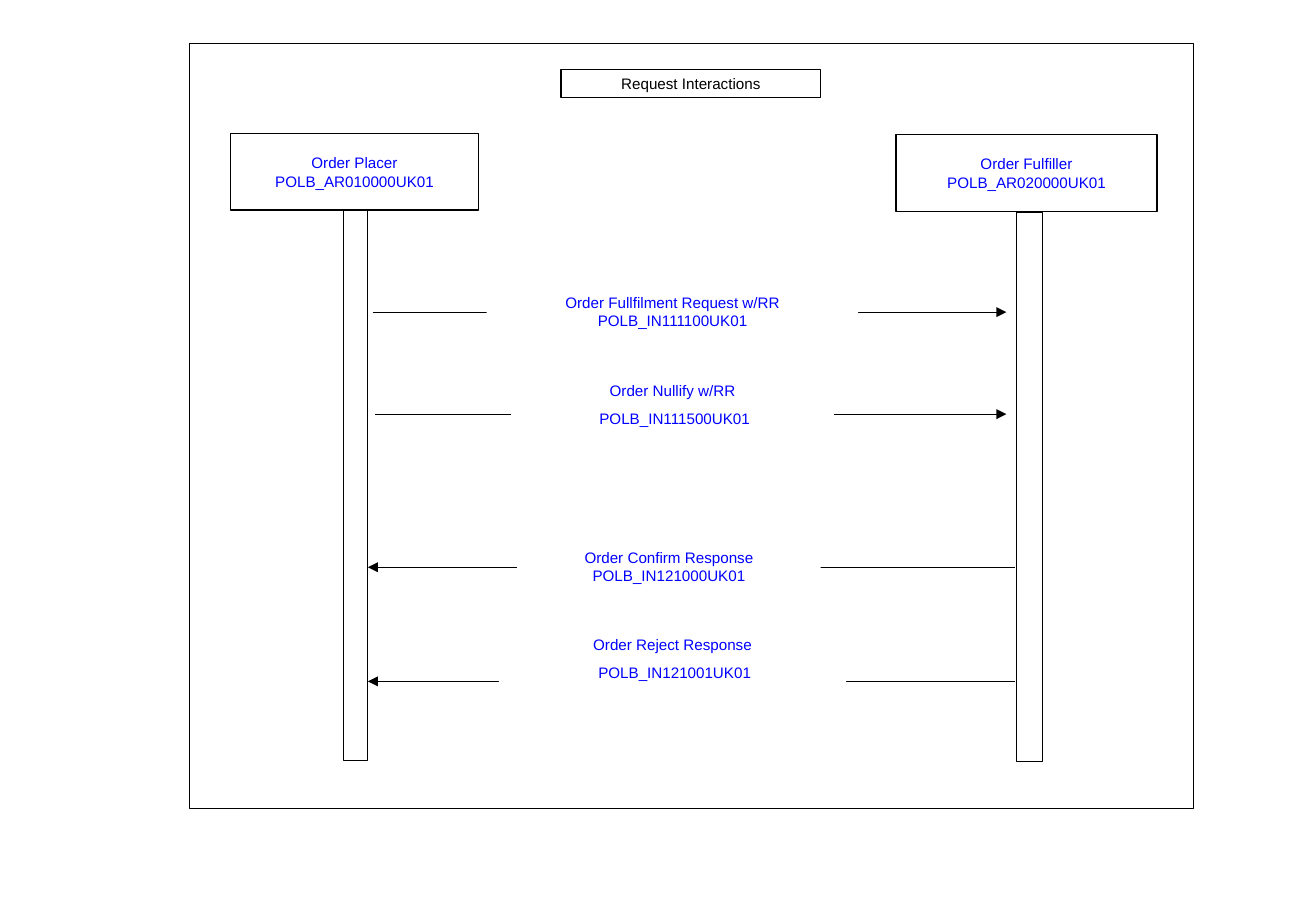
from dataclasses import dataclass

from lxml import etree
from pptx import Presentation
from pptx.dml.color import RGBColor
from pptx.enum import shapes, text
from pptx.oxml import ns
from pptx.util import Pt


@dataclass(frozen=True)
class Theme:
    font: str = "Arial"
    size: float = 9
    line_width: float = 0.75
    paragraph_gap: float = 5.6
    ink: RGBColor = RGBColor(0, 0, 0)
    label: RGBColor = RGBColor(0, 0, 255)
    paper: RGBColor = RGBColor(255, 255, 255)


@dataclass(frozen=True)
class Box:
    left: float
    top: float
    width: float
    height: float

    def inner(self, left, top, width, height):
        return Box(self.left + left, self.top + top, width, height)

    def lengths(self):
        return [Pt(value) for value in (self.left, self.top, self.width, self.height)]


THEME = Theme()
DIAGRAM = Box(112.32, 25.92, 595.44, 453.6)

# Each participant: lines, header box, lifeline box, relative to the diagram
PARTICIPANTS = [
    (["Order Placer", "POLB_AR010000UK01"],
     (24.48, 53.28, 146.88, 45.36), (91.44, 98.64, 14.4, 326.16)),
    (["Order Fulfiller", "POLB_AR020000UK01"],
     (419.04, 54, 154.8, 45.36), (490.32, 100.08, 15.84, 325.44)),
]

# Each message: lines, start x, end x, arrow y, label box, spaced from the top
MESSAGES = [
    (["Order Fullfilment Request w/RR", "POLB_IN111100UK01"],
     108.72, 484.56, 159.12, (176.4, 136.08, 220.32, 45.36), False),
    (["Order Nullify w/RR", " POLB_IN111500UK01"],
     110.16, 484.56, 219.6, (190.8, 196.56, 191.52, 34.56), True),
    (["Order Confirm Response", "POLB_IN121000UK01"],
     489.6, 105.84, 310.32, (194.4, 286.56, 180, 46.8), False),
    (["Order Reject Response", " POLB_IN121001UK01"],
     489.6, 105.84, 378, (183.6, 347.04, 205.92, 34.56), True),
]


def write_lines(shape, lines, color, spaced=False):
    frame = shape.text_frame
    frame.word_wrap = True
    frame.auto_size = text.MSO_AUTO_SIZE.NONE
    frame.vertical_anchor = text.MSO_ANCHOR.TOP if spaced else text.MSO_ANCHOR.MIDDLE
    frame.margin_left = frame.margin_right = Pt(7.2)
    frame.margin_top = frame.margin_bottom = Pt(3.6 if spaced else 0)
    for index, line in enumerate(lines):
        para = frame.paragraphs[0] if index == 0 else frame.add_paragraph()
        para.alignment = text.PP_ALIGN.CENTER
        para.space_before = Pt(THEME.paragraph_gap if spaced else 0)
        span = para.add_run()
        span.text = line
        span.font.name = THEME.font
        span.font.size = Pt(THEME.size)
        span.font.color.rgb = color


def draw_outline(shape):
    shape.line.color.rgb = THEME.ink
    shape.line.width = Pt(THEME.line_width)


def add_rectangle(page, box, outlined=True):
    shape = page.shapes.add_shape(shapes.MSO_SHAPE.RECTANGLE, *box.lengths())
    shape.shadow.inherit = False
    if outlined:
        shape.fill.background()
        draw_outline(shape)
    else:
        shape.fill.solid()
        shape.fill.fore_color.rgb = THEME.paper
        shape.line.fill.background()
    return shape


def add_arrow(page, start_x, end_x, y):
    arrow = page.shapes.add_connector(
        shapes.MSO_CONNECTOR.STRAIGHT, Pt(start_x), Pt(y), Pt(end_x), Pt(y))
    draw_outline(arrow)
    outline = arrow._element.spPr.find(ns.qn("a:ln"))
    etree.SubElement(outline, ns.qn("a:tailEnd"), type="triangle")
    etree.SubElement(arrow._element.spPr, ns.qn("a:effectLst"))


def add_title(page, box):
    title = page.shapes.title
    title.left, title.top, title.width, title.height = box.lengths()
    draw_outline(title)
    write_lines(title, ["Request Interactions"], THEME.ink)


def add_participant(page, area, lines, header, lifeline):
    write_lines(add_rectangle(page, area.inner(*header)), lines, THEME.label)
    add_rectangle(page, area.inner(*lifeline))


def add_message(page, area, lines, start_x, end_x, y, label, spaced):
    add_arrow(page, area.left + start_x, area.left + end_x, area.top + y)
    # The white label interrupts the arrow
    shape = add_rectangle(page, area.inner(*label), outlined=False)
    write_lines(shape, lines, THEME.label, spaced)


def add_sequence_diagram(page, area):
    # Frame and title
    add_rectangle(page, area)
    add_title(page, area.inner(220.32, 15.12, 154.08, 16.56))
    # Participants with their lifelines
    for participant in PARTICIPANTS:
        add_participant(page, area, *participant)
    # Messages between the lifelines
    for message in MESSAGES:
        add_message(page, area, *message)


def main():
    deck = Presentation()
    deck.slide_width, deck.slide_height = Pt(780.48), Pt(540)
    page = deck.slides.add_slide(deck.slide_layouts.get_by_name("Title Only"))
    add_sequence_diagram(page, DIAGRAM)
    deck.save("out.pptx")


if __name__ == "__main__":
    main()
